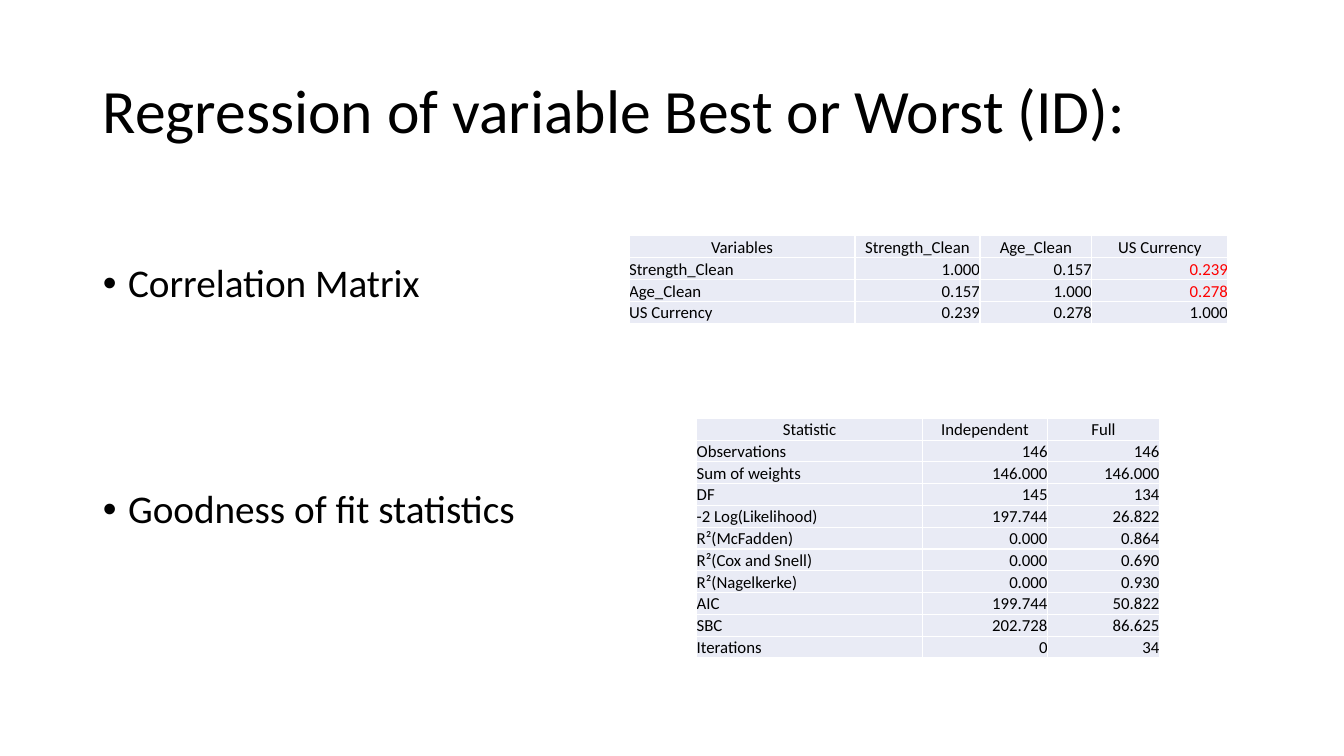
"""Build the regression slide with its correlation matrix and fit statistics."""
import dataclasses

import lxml.etree
import pptx
import pptx.dml.color
import pptx.enum.text
import pptx.oxml.ns
import pptx.oxml.xmlchemy
import pptx.slide
import pptx.table
import pptx.text.text
import pptx.util

Inches = pptx.util.Inches
Pt = pptx.util.Pt
ALIGN = pptx.enum.text.PP_ALIGN
ANCHOR = pptx.enum.text.MSO_ANCHOR

FONT = "Calibri"
COLOURS = {"text": "000000", "alert": "FF0000", "cell": "E9EBF5", "border": "FFFFFF"}


@dataclasses.dataclass(frozen=True)
class Grid:
    left: float
    top: float
    height: float
    columns: tuple[float, ...]
    rows: tuple[tuple[str, ...], ...]
    alerts: frozenset[tuple[int, int]] = frozenset()


@dataclasses.dataclass(frozen=True)
class Topic:
    wording: str
    space_before: float


CORRELATION = Grid(
    6.24, 2.34, 0.87, (2.24, 1.24, 1.11, 1.35),
    (
        ("Variables", "Strength_Clean", "Age_Clean", "US Currency"),
        ("Strength_Clean", "1.000", "0.157", "0.239"),
        ("Age_Clean", "0.157", "1.000", "0.278"),
        ("US Currency", "0.239", "0.278", "1.000"),
    ),
    frozenset({(1, 3), (2, 3)}),
)
FIT = Grid(
    6.91, 4.15, 2.38, (2.24, 1.24, 1.11),
    (
        ("Statistic", "Independent", "Full"),
        ("Observations", "146", "146"),
        ("Sum of weights", "146.000", "146.000"),
        ("DF", "145", "134"),
        ("-2 Log(Likelihood)", "197.744", "26.822"),
        ("R²(McFadden)", "0.000", "0.864"),
        ("R²(Cox and Snell)", "0.000", "0.690"),
        ("R²(Nagelkerke)", "0.000", "0.930"),
        ("AIC", "199.744", "50.822"),
        ("SBC", "202.728", "86.625"),
        ("Iterations", "0", "34"),
    ),
)
TOPICS = (Topic("Correlation Matrix", 0), Topic("Goodness of fit statistics", 131))


def rgb(key: str) -> pptx.dml.color.RGBColor:
    return pptx.dml.color.RGBColor.from_string(COLOURS[key])


def add_child(parent: pptx.oxml.xmlchemy.BaseOxmlElement, tag: str, **attributes: str):
    return lxml.etree.SubElement(parent, pptx.oxml.ns.qn(tag), attributes)


def write(paragraph: pptx.text.text._Paragraph, wording: str, size: float, colour: str = "text") -> None:
    run = paragraph.add_run()
    run.text = wording
    run.font.name = FONT
    run.font.size = Pt(size)
    run.font.color.rgb = rgb(colour)


def place(placeholder, left: float, top: float, width: float, height: float) -> None:
    placeholder.left, placeholder.top = Inches(left), Inches(top)
    placeholder.width, placeholder.height = Inches(width), Inches(height)
    placeholder.text_frame.word_wrap = True
    placeholder.text_frame.auto_size = pptx.enum.text.MSO_AUTO_SIZE.NONE


def fill_title(slide: pptx.slide.Slide) -> None:
    title = slide.shapes.title
    place(title, 0.92, 0.4, 11.5, 1.45)
    title.text_frame.vertical_anchor = ANCHOR.MIDDLE
    heading = title.text_frame.paragraphs[0]
    heading.alignment = ALIGN.LEFT
    heading.line_spacing = 0.9
    write(heading, "Regression of variable Best or Worst (ID):", 44)


def fill_topics(slide: pptx.slide.Slide) -> None:
    body = slide.placeholders[1]
    place(body, 0.92, 2.57, 11.5, 4.19)
    for index, topic in enumerate(TOPICS):
        frame = body.text_frame
        paragraph = frame.add_paragraph() if index else frame.paragraphs[0]
        properties = paragraph._p.get_or_add_pPr()
        properties.set("marL", str(Inches(0.25)))
        properties.set("indent", str(Inches(-0.25)))
        add_child(properties, "a:buFont", typeface="Arial")
        add_child(properties, "a:buChar", char="•")
        paragraph.line_spacing = 0.9
        paragraph.space_before = Pt(topic.space_before)
        write(paragraph, topic.wording, 28)


def style_cell(cell: pptx.table._Cell) -> None:
    properties = cell._tc.get_or_add_tcPr()
    for side in ("L", "R", "T", "B"):
        line = add_child(properties, f"a:ln{side}", w=str(Pt(1)))
        add_child(add_child(line, "a:solidFill"), "a:srgbClr", val=COLOURS["border"])
    cell.fill.solid()
    cell.fill.fore_color.rgb = rgb("cell")
    cell.margin_left = cell.margin_right = cell.margin_top = cell.margin_bottom = 0
    cell.vertical_anchor = ANCHOR.BOTTOM


def draw_grid(slide: pptx.slide.Slide, grid: Grid) -> None:
    table = slide.shapes.add_table(
        len(grid.rows), len(grid.columns), Inches(grid.left), Inches(grid.top),
        Inches(sum(grid.columns)), Inches(grid.height),
    ).table
    table.first_row = table.horz_banding = False
    for column, width in zip(table.columns, grid.columns):
        column.width = Inches(width)
    for row_index, row in enumerate(grid.rows):
        for column_index, wording in enumerate(row):
            cell = table.cell(row_index, column_index)
            style_cell(cell)
            paragraph = cell.text_frame.paragraphs[0]
            if row_index == 0:
                paragraph.alignment = ALIGN.CENTER
            else:
                paragraph.alignment = ALIGN.RIGHT if column_index else ALIGN.LEFT
            alert = (row_index, column_index) in grid.alerts
            write(paragraph, wording, 12, "alert" if alert else "text")


def main() -> None:
    presentation = pptx.Presentation()
    presentation.slide_width = Inches(13.33)
    presentation.slide_height = Inches(7.5)
    slide = presentation.slides.add_slide(presentation.slide_layouts[1])
    fill_title(slide)
    fill_topics(slide)
    for grid in (CORRELATION, FIT):
        draw_grid(slide, grid)
    presentation.save("out.pptx")


if __name__ == "__main__":
    main()
